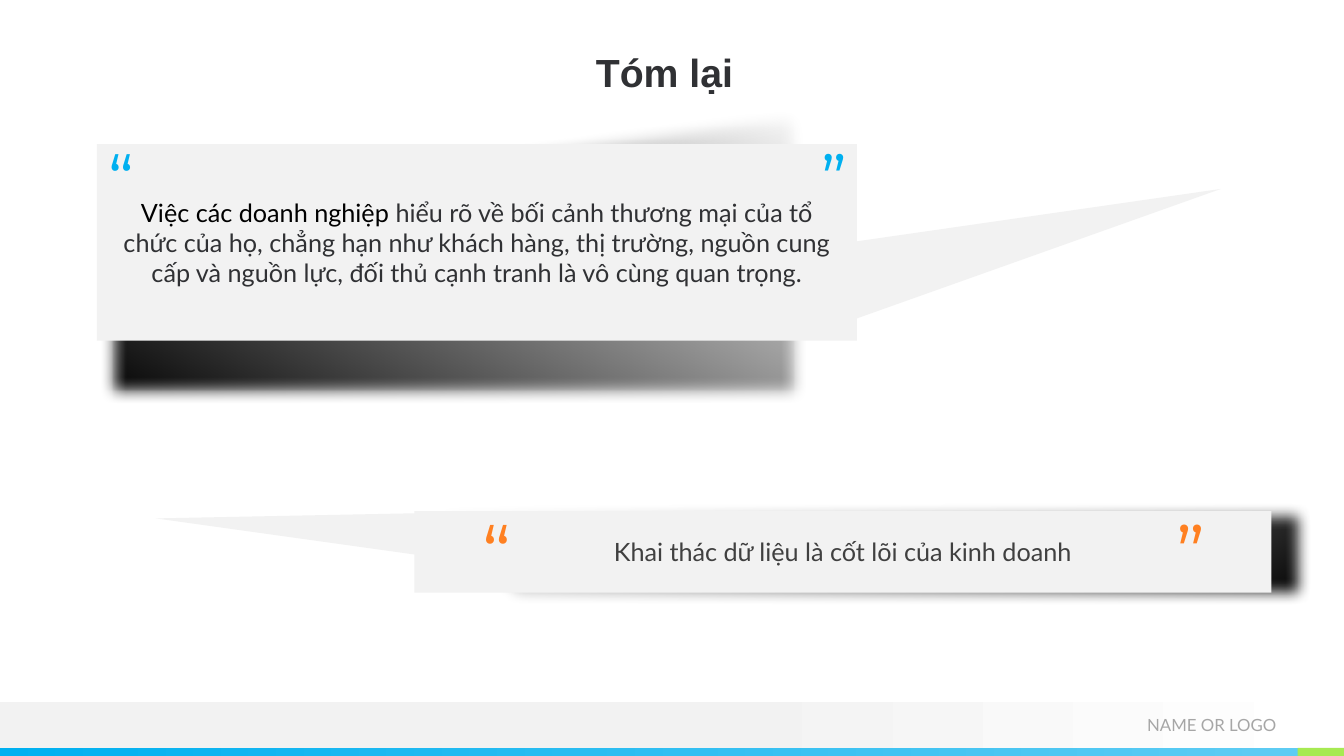
from lxml import etree
from pptx import Presentation
from pptx.dml.color import RGBColor
from pptx.enum import shapes, text
from pptx.oxml import ns
from pptx.util import Inches, Pt

BLACK = RGBColor(0x00, 0x00, 0x00)
INK = RGBColor(0x30, 0x31, 0x34)
DARK_GREY = RGBColor(0x40, 0x40, 0x40)
MID_GREY = RGBColor(0xA6, 0xA6, 0xA6)
PANEL = RGBColor(0xF2, 0xF2, 0xF2)
WHITE = RGBColor(0xFF, 0xFF, 0xFF)
BLUE = RGBColor(0x00, 0xB0, 0xF0)
LIGHT_BLUE = RGBColor(0x5E, 0xCC, 0xF3)
GREEN = RGBColor(0xA7, 0xEA, 0x52)
ORANGE = RGBColor(0xFF, 0x80, 0x21)


def paint(shape, stops, angle=0):
    """Fill with (percent, colour, opacity) stops, angle clockwise; one stop is solid."""
    shape.shadow.inherit = False
    shape.line.fill.background()
    if len(stops) == 1:
        shape.fill.solid()
        shape.fill.fore_color.rgb = stops[0][1]
        return
    shape.fill.background()
    properties = shape.element.spPr
    gradient = etree.Element(ns.qn("a:gradFill"), rotWithShape="1")
    stop_list = etree.SubElement(gradient, ns.qn("a:gsLst"))
    for percent, colour, opacity in stops:
        stop = etree.SubElement(stop_list, ns.qn("a:gs"), pos=str(percent * 1000))
        tint = etree.SubElement(stop, ns.qn("a:srgbClr"), val=str(colour))
        if opacity < 100:
            etree.SubElement(tint, ns.qn("a:alpha"), val=str(opacity * 1000))
    etree.SubElement(gradient, ns.qn("a:lin"), ang=str(angle * 60000), scaled="0")
    properties.replace(properties.find(ns.qn("a:noFill")), gradient)


def set_frame(shape, place, inset, anchor):
    shape.left, shape.top, shape.width, shape.height = map(Inches, place)
    frame = shape.text_frame
    frame.word_wrap = True
    frame.auto_size = text.MSO_AUTO_SIZE.NONE
    frame.vertical_anchor = anchor
    frame.margin_left = frame.margin_right = Inches(inset)
    frame.margin_top = frame.margin_bottom = Inches(inset)
    return frame.paragraphs[0]


deck = Presentation()
deck.slide_width, deck.slide_height = Inches(13.33), Inches(7.5)
page = deck.slides.add_slide(deck.slide_layouts.get_by_name("Two Content"))
title, *quote_boxes = page.placeholders

# Footer
footer_bars = [
    ((0, 6.96, 13.33, 0.46), [(53, PANEL, 100), (100, WHITE, 100)]),
    ((0, 7.42, 12.87, 0.08), [(0, BLUE, 100), (100, LIGHT_BLUE, 100)]),
    ((12.87, 7.42, 0.46, 0.08), [(0, GREEN, 100)]),
]
for place, stops in footer_bars:
    bar = page.shapes.add_shape(shapes.MSO_SHAPE.RECTANGLE, *map(Inches, place))
    paint(bar, stops)

footer_place = (10.42, 6.96, 2.24, 0.47)
box = page.shapes.add_textbox(*map(Inches, footer_place))
para = set_frame(box, footer_place, 0, text.MSO_ANCHOR.MIDDLE)
para.text = "NAME OR LOGO"
para.alignment = text.PP_ALIGN.RIGHT
para.font.name, para.font.size = "Lato", Pt(12)
para.font.color.rgb = MID_GREY

# Soft shadows under the quote panels, fading away from the outer bottom corner
shadows = [
    ([(0.75, 3.78), (7.71, 3.78), (8.26, 1.46), (0.75, 1.78)], 300),
    ([(12.83, 6.2), (4.69, 6.2), (4.05, 5.33), (12.83, 5.45)], 240),
]
for corners, angle in shadows:
    builder = page.shapes.build_freeform(*corners[0], scale=Inches(1))
    builder.add_line_segments(corners[1:], close=True)
    shadow = builder.convert_to_shape()
    paint(shadow, [(0, BLACK, 100), (100, BLACK, 0)], angle)
    effects = shadow.element.spPr.find(ns.qn("a:effectLst"))
    etree.SubElement(effects, ns.qn("a:softEdge"), rad=str(Inches(0.14)))

# Speech pointers
for place, rotation in [((9.79, 0.37, 0.79, 3.96), 76.1), ((2.71, 3.84, 0.44, 2.77), 273.4)]:
    pointer = page.shapes.add_shape(shapes.MSO_SHAPE.ISOSCELES_TRIANGLE, *map(Inches, place))
    pointer.rotation = rotation
    paint(pointer, [(0, PANEL, 100)])

# Quote panels
quotes = [
    ((0.96, 1.43, 7.54, 1.95), [
        ("Việc các doanh nghiệp ", BLACK),
        ("hiểu rõ về bối cảnh thương mại của tổ chức của họ, chẳng hạn như khách hàng, "
         "thị trường, nguồn cung cấp và nguồn lực, đối thủ cạnh tranh là vô cùng quan trọng.", INK),
    ]),
    ((4.11, 5.07, 8.5, 0.81), [("Khai thác dữ liệu là cốt lõi của kinh doanh", DARK_GREY)]),
]
for panel, (place, pieces) in zip(quote_boxes, quotes):
    page.shapes.element.append(panel.element)  # bring in front of shadows and pointers
    para = set_frame(panel, place, 0.2, text.MSO_ANCHOR.MIDDLE)
    panel.fill.solid()
    panel.fill.fore_color.rgb = PANEL
    para_properties = para._p.get_or_add_pPr()
    para_properties.set("marL", "0")
    para_properties.set("indent", "0")
    etree.SubElement(para_properties, ns.qn("a:buNone"))
    para.alignment = text.PP_ALIGN.CENTER
    para.line_spacing = 1.0
    para.space_before, para.space_after = Pt(0), Pt(5)
    para.font.name, para.font.size = "Lato", Pt(18)
    for words, colour in pieces:
        span = para.add_run()
        span.text = words
        span.font.color.rgb = colour

# Quotation marks
marks = [
    ("“", 1.08, 1.45, 48, BLUE),
    ("”", 8.15, 1.45, 48, BLUE),
    ("“", 4.79, 5.12, 54, ORANGE),
    ("”", 11.67, 5.12, 54, ORANGE),
]
for mark, left, top, size, colour in marks:
    place = (left, top, 1.16, 0.41)
    box = page.shapes.add_textbox(*map(Inches, place))
    para = set_frame(box, place, 0, text.MSO_ANCHOR.TOP)
    para.line_spacing = 0.9
    para.font.name, para.font.size = "Montserrat", Pt(size)
    para.font.color.rgb = colour
    span = para.add_run()
    span.text = mark
    span._r.get_or_add_rPr().set("spc", "-150")

# Title
para = set_frame(title, (3.39, 0.43, 6.4, 0.57), 0.05, text.MSO_ANCHOR.MIDDLE)
para.text = "Tóm lại"
para.alignment = text.PP_ALIGN.CENTER
para.font.name, para.font.size, para.font.bold = "Arial", Pt(28), True
para.font.color.rgb = INK

deck.save("out.pptx")
